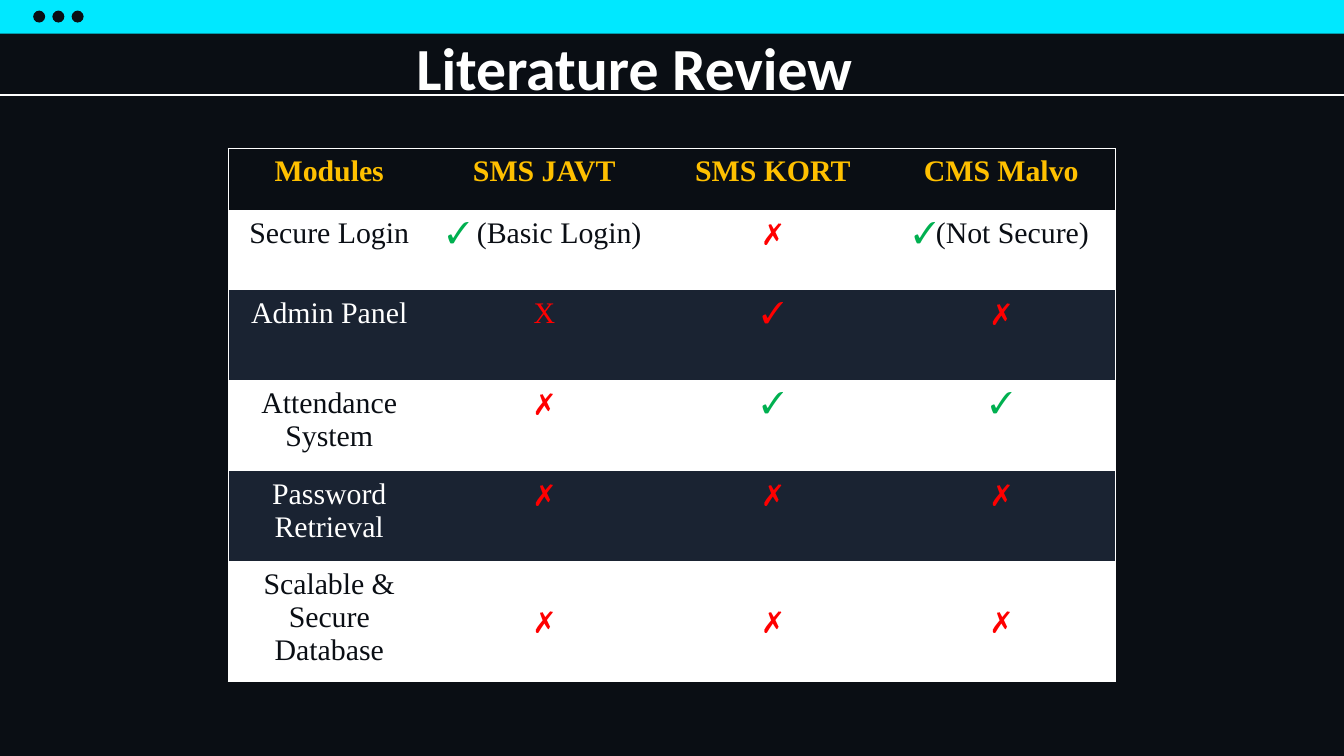
from lxml import etree
from pptx import Presentation
from pptx.dml.color import RGBColor
from pptx.enum.shapes import MSO_CONNECTOR, MSO_SHAPE
from pptx.enum.text import MSO_ANCHOR, MSO_AUTO_SIZE, PP_ALIGN
from pptx.oxml.ns import qn
from pptx.util import Pt

RECT, OVAL, LINE = MSO_SHAPE.RECTANGLE, MSO_SHAPE.OVAL, MSO_CONNECTOR.STRAIGHT
CENTER, TOP, MIDDLE = PP_ALIGN.CENTER, MSO_ANCHOR.TOP, MSO_ANCHOR.MIDDLE
GROW = MSO_AUTO_SIZE.SHAPE_TO_FIT_TEXT

INK = RGBColor(0x0A, 0x0E, 0x14)
NAVY = RGBColor(0x1A, 0x23, 0x32)
CYAN = RGBColor(0x00, 0xE8, 0xFF)
WHITE = RGBColor(0xFF, 0xFF, 0xFF)
GOLD = RGBColor(0xFF, 0xC0, 0x00)
GREEN = RGBColor(0x00, 0xB0, 0x50)
RED = RGBColor(0xFF, 0x00, 0x00)

TITLE = {"name": "Calibri", "size": Pt(32), "bold": True}
HEADER = {"name": "Times New Roman", "size": Pt(16), "bold": True}
BODY = {**HEADER, "bold": False}

YES, NO = ("✓", GREEN), ("✗", RED)
HEADINGS = ["Modules", "SMS JAVT", "SMS KORT", "CMS Malvo"]
MODULES = [
    ("Secure Login", [YES, (" (Basic Login)", INK)], [NO], [YES, ("(Not Secure)", INK)]),
    ("Admin Panel", [("X", RED)], [("✓", RED)], [NO]),
    ("Attendance System", [NO], [YES], [YES]),
    ("Password Retrieval", [NO], [NO], [NO]),
    ("Scalable & Secure Database", [NO], [NO], [NO]),
]
COL_WIDTHS = [108, 122.4, 122.4, 122.4]
ROW_HEIGHTS = [33, 43, 48, 49, 48, 64.5]


def add_run(p, text, color, fmt):
    """Add a formatted run to a paragraph."""
    r = p.add_run()
    r.text = text
    for name, value in fmt.items():
        setattr(r.font, name, value)
    r.font.color.rgb = color


def add_solid(s, kind, x, y, w, h, color):
    """Add a plain filled shape without outline."""
    sp = s.shapes.add_shape(kind, Pt(x), Pt(y), Pt(w), Pt(h))
    sp.shadow.inherit = False
    sp.fill.solid()
    sp.fill.fore_color.rgb = color
    sp.line.fill.background()


def add_rule(s, y, width):
    """Add the white line across the slide."""
    line = s.shapes.add_connector(LINE, 0, Pt(y), Pt(width), Pt(y))
    line.line.color.rgb = WHITE
    line.line.width = Pt(0.75)
    etree.SubElement(line._element.spPr, qn("a:effectLst"))


def add_title(s, text):
    """Add the slide title."""
    tf = s.shapes.add_textbox(Pt(216), Pt(13), Pt(422.6), Pt(46)).text_frame
    tf.word_wrap = True
    tf.auto_size = GROW
    add_run(tf.paragraphs[0], text, WHITE, TITLE)


def set_borders(cell, sides):
    """Draw white borders on the given sides and clear the others."""
    tc_pr = cell._tc.get_or_add_tcPr()
    for i, side in enumerate("LRTB"):
        ln = etree.Element(qn(f"a:ln{side}"), w=str(Pt(1)))
        if side in sides:
            fill = etree.SubElement(ln, qn("a:solidFill"))
            etree.SubElement(fill, qn("a:srgbClr"), val=str(WHITE))
        else:
            etree.SubElement(ln, qn("a:noFill"))
        tc_pr.insert(i, ln)


def fill_cell(cell, runs, fill, fmt, anchor):
    """Fill a table cell with centred runs on a solid colour."""
    cell.fill.solid()
    cell.fill.fore_color.rgb = fill
    cell.vertical_anchor = anchor
    p = cell.text_frame.paragraphs[0]
    p.alignment = CENTER
    for text, color in runs:
        add_run(p, text, color, fmt)


def add_review_table(s):
    """Add the module comparison table."""
    n_rows, n_cols = len(ROW_HEIGHTS), len(COL_WIDTHS)
    table = s.shapes.add_table(n_rows, n_cols, Pt(122.4), Pt(79.6),
                               Pt(sum(COL_WIDTHS)), Pt(sum(ROW_HEIGHTS))).table
    for col, width in zip(table.columns, COL_WIDTHS):
        col.width = Pt(width)
    for row, height in zip(table.rows, ROW_HEIGHTS):
        row.height = Pt(height)

    rows = [[[(text, GOLD)] for text in HEADINGS]]
    for i, (module, *marks) in enumerate(MODULES):
        rows.append([[(module, WHITE if i % 2 else INK)], *marks])

    for i, row in enumerate(rows):
        fill = INK if i == 0 else WHITE if i % 2 else NAVY
        for j, runs in enumerate(row):
            anchor = MIDDLE if i == n_rows - 1 and j > 0 else TOP
            cell = table.cell(i, j)
            fill_cell(cell, runs, fill, BODY if i else HEADER, anchor)
            edges = {"L": j == 0, "R": j == n_cols - 1, "T": i == 0, "B": i == n_rows - 1}
            set_borders(cell, [side for side, outer in edges.items() if outer])


def main():
    """Build and save the slide."""
    prs = Presentation()
    prs.slide_width, prs.slide_height = Pt(720), Pt(405)
    s = prs.slides.add_slide(prs.slide_layouts[6])
    s.background.fill.solid()
    s.background.fill.fore_color.rgb = INK
    add_solid(s, RECT, 0, 0, 720, 18, CYAN)
    for i in range(3):
        add_solid(s, OVAL, 17.8 + 10.3 * i, 5.7, 6.4, 6.4, INK)
    add_rule(s, 51, 720)
    add_review_table(s)
    add_title(s, "Literature Review")
    prs.save("out.pptx")


if __name__ == "__main__":
    main()
